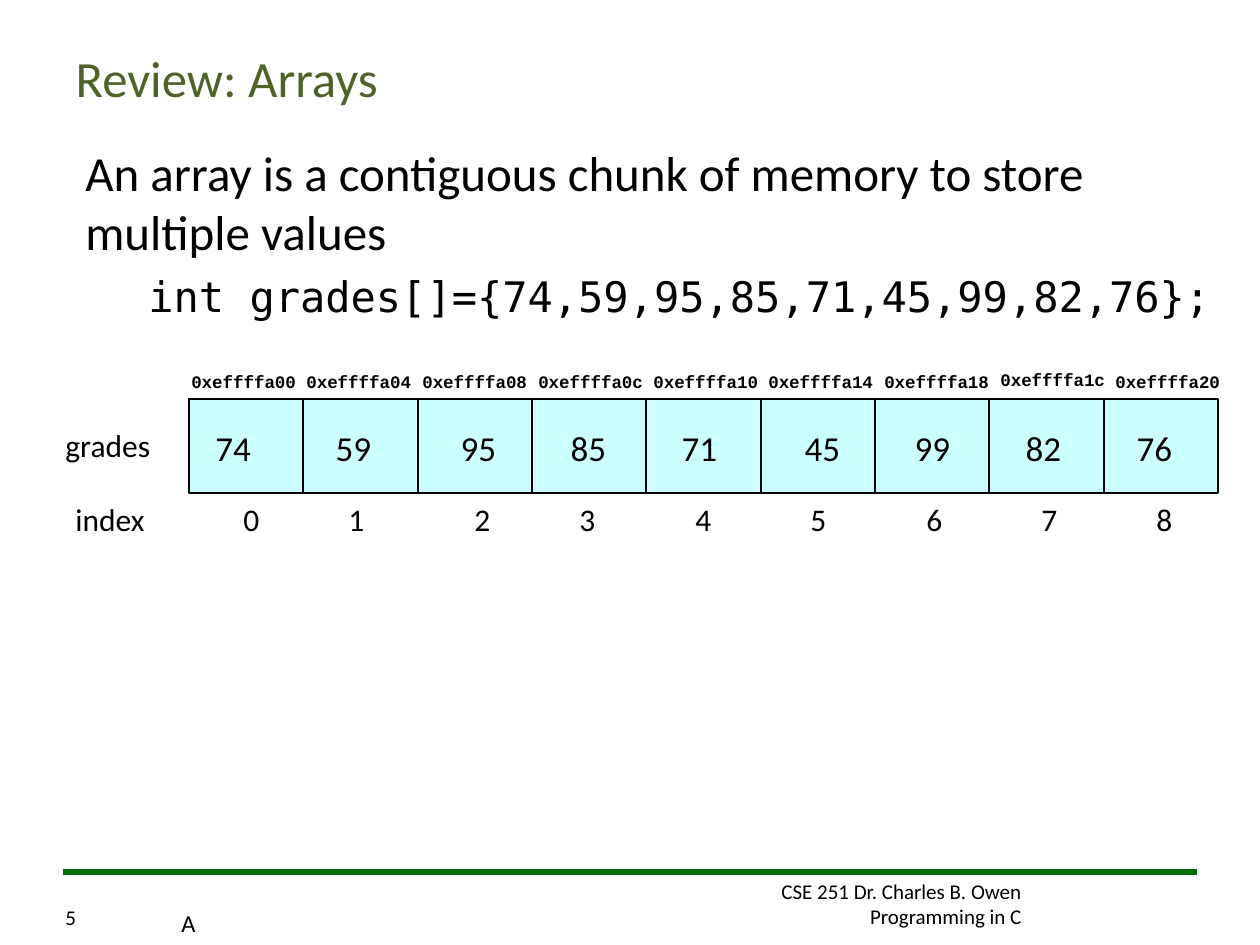
from lxml.etree import SubElement
from pptx import Presentation
from pptx.dml.color import RGBColor
from pptx.enum.shapes import MSO_CONNECTOR, MSO_SHAPE
from pptx.enum.text import MSO_ANCHOR, MSO_AUTO_SIZE, PP_ALIGN
from pptx.oxml.ns import qn
from pptx.util import Pt

COLORS = {"text": "000000", "title": "4F6228", "cell": "CCFFFF", "rule": "006C00"}
STYLES = {
    "title": {"size": Pt(29), "name": "Calibri"},
    "body": {"size": Pt(28), "name": "Calibri"},
    "code": {"size": Pt(24), "name": "DejaVu Sans Mono"},
    "value": {"size": Pt(20), "name": "Calibri"},
    "label": {"size": Pt(18), "name": "Calibri"},
    "mark": {"size": Pt(14), "name": "Calibri"},
    "footer": {"size": Pt(12), "name": "Calibri"},
    "address": {"size": Pt(10), "name": "Courier New", "bold": True},
}

TITLE = "Review: Arrays"
BODY = "An array is a contiguous chunk of memory to store multiple values"
CODE = "int grades[]={74,59,95,85,71,45,99,82,76};"
FOOTER = ["CSE 251 Dr. Charles B. Owen", "Programming in C"]

# value, address, value left, address top, index left
ELEMENTS = [
    ("74", "0xeffffa00", 203, 365, 231),
    ("59", "0xeffffa04", 312, 365, 336),
    ("95", "0xeffffa08", 437, 365, 462),
    ("85", "0xeffffa0c", 547, 365, 567),
    ("71", "0xeffffa10", 658, 365, 683),
    ("45", "0xeffffa14", 781, 365, 798),
    ("99", "0xeffffa18", 891, 365, 914),
    ("82", "0xeffffa1c", 1002, 363, 1029),
    ("76", "0xeffffa20", 1113, 365, 1144),
]
ROW_LEFT, ROW_TOP, ROW_WIDTH, ROW_HEIGHT = 189, 399, 1029, 94
ADDRESS_LEFT, ADDRESS_SPAN = 179, 924


def px(n):
    return round(n * 914400 / 126)


def rgb(name):
    return RGBColor.from_string(COLORS[name])


def write(p, text, style, color="text", align=PP_ALIGN.LEFT):
    p.alignment = align
    r = p.add_run()
    r.text = text
    for key, value in STYLES[style].items():
        setattr(r.font, key, value)
    r.font.color.rgb = rgb(color)


def add_text(s, box, lines, style, align=PP_ALIGN.LEFT, wrap=True):
    tf = s.shapes.add_textbox(*map(px, box)).text_frame
    tf.word_wrap = wrap
    for i, line in enumerate(lines):
        p = tf.add_paragraph() if i else tf.paragraphs[0]
        write(p, line, style, align=align)
    return tf


def add_cell(s, left, right):
    box = (left, ROW_TOP, right - left, ROW_HEIGHT)
    sp = s.shapes.add_shape(MSO_SHAPE.RECTANGLE, *map(px, box))
    sp.shadow.inherit = False
    sp.fill.solid()
    sp.fill.fore_color.rgb = rgb("cell")
    sp.line.color.rgb = rgb("text")
    sp.line.width = Pt(0.75)


def add_rule(s):
    rule = s.shapes.add_connector(MSO_CONNECTOR.STRAIGHT, px(1197), px(872), px(63), px(872))
    rule.line.color.rgb = rgb("rule")
    rule.line.width = Pt(3)
    SubElement(rule._element.spPr, qn("a:effectLst"))


def add_title(s):
    title = s.shapes.title
    title.left, title.top, title.width, title.height = map(px, (63, 38, 1134, 78))
    tf = title.text_frame
    tf.auto_size = MSO_AUTO_SIZE.NONE
    tf.vertical_anchor = MSO_ANCHOR.MIDDLE
    write(tf.paragraphs[0], TITLE, "title", "title")


def add_body(s):
    tf = add_text(s, (73, 136, 1155, 525), [BODY], "body")
    p = tf.add_paragraph()
    p.level = 1
    p.space_before = Pt(6)
    pPr = p._p.get_or_add_pPr()
    pPr.set("marL", str(px(102)))
    pPr.set("indent", str(px(-39)))
    write(p, CODE, "code")


def add_array(s):
    n = len(ELEMENTS)
    edges = [round(ROW_LEFT + i * ROW_WIDTH / n) for i in range(n + 1)]
    for left, right in zip(edges, edges[1:]):
        add_cell(s, left, right)
    add_text(s, (53, 420, 147, 50), ["grades"], "label")
    add_text(s, (63, 494, 116, 50), ["index"], "label")
    for i, (value, address, value_left, address_top, index_left) in enumerate(ELEMENTS):
        align = PP_ALIGN.CENTER if i else PP_ALIGN.LEFT
        address_left = round(ADDRESS_LEFT + i * ADDRESS_SPAN / (n - 1))
        add_text(s, (value_left, 420, 83, 55), [value], "value", align)
        add_text(s, (address_left, address_top, 136, 34), [address], "address")
        add_text(s, (index_left, 494, 42, 50), [str(i)], "label")


def main():
    prs = Presentation()
    prs.slide_width, prs.slide_height = px(1260), px(945)
    s = prs.slides.add_slide(prs.slide_layouts[5])
    add_text(s, (609, 872, 425, 63), FOOTER, "footer", PP_ALIGN.RIGHT)
    add_rule(s)
    add_text(s, (53, 898, 50, 38), ["5"], "footer")
    add_title(s)
    add_body(s)
    add_array(s)
    add_text(s, (169, 902, 39, 43), ["A"], "mark", wrap=False)
    prs.save("out.pptx")


if __name__ == "__main__":
    main()
